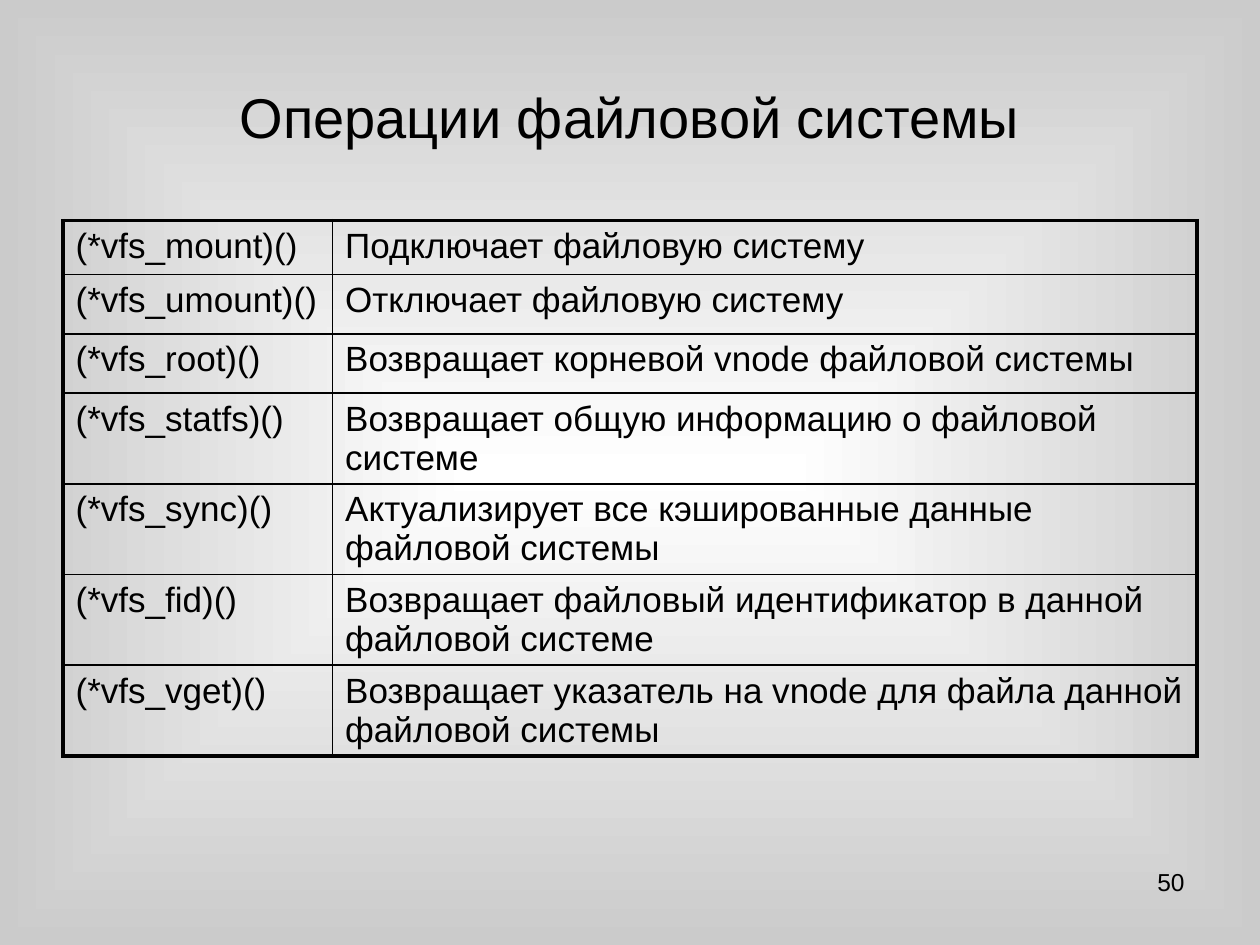
from lxml.etree import SubElement
from pptx import Presentation
from pptx.dml.color import RGBColor
from pptx.enum.text import MSO_ANCHOR, PP_ALIGN
from pptx.oxml.ns import qn
from pptx.util import Inches, Pt

OPERATIONS = [
    ("(*vfs_mount)()", "Подключает файловую систему", 0.43),
    ("(*vfs_umount)()", "Отключает файловую систему", 0.47),
    ("(*vfs_root)()", "Возвращает корневой vnode файловой системы", 0.47),
    ("(*vfs_statfs)()", "Возвращает общую информацию о файловой системе", 0.71),
    ("(*vfs_sync)()", "Актуализирует все кэшированные данные файловой системы", 0.71),
    ("(*vfs_fid)()", "Возвращает файловый идентификатор в данной файловой системе", 0.7),
    ("(*vfs_vget)()", "Возвращает указатель на vnode для файла данной файловой системы", 0.71),
]
COLUMN_WIDTHS = [2.14, 6.86]
OUTER_LINE, INNER_LINE = Pt(2.25), Pt(1)


def write(text_frame, text, size, alignment, color="000000"):
    text_frame.text = text
    paragraph = text_frame.paragraphs[0]
    paragraph.alignment = alignment
    font_format = {"name": "Arial", "size": Pt(size), "bold": False}
    for name, value in font_format.items():
        setattr(paragraph.font, name, value)
    paragraph.font.color.rgb = RGBColor.from_string(color)


def add_border(cell, side, width, color="000000"):
    line = SubElement(cell._tc.get_or_add_tcPr(), qn(f"a:ln{side}"), w=str(width))
    fill = SubElement(line, qn("a:solidFill"))
    SubElement(fill, qn("a:srgbClr"), val=color)


presentation = Presentation()
presentation.slide_width, presentation.slide_height = Inches(10), Inches(7.5)
slide = presentation.slides.add_slide(presentation.slide_layouts[5])

# Background: gradient from the centre to the edges
background = slide.background.fill
background.gradient()
for stop, position, color in zip(background.gradient_stops, (0, 1), ("FFFFFF", "CBCBCB")):
    stop.position = position
    stop.color.rgb = RGBColor.from_string(color)
gradient = slide.element.find(".//" + qn("a:gradFill"))
gradient.remove(gradient.find(qn("a:lin")))
shade = SubElement(gradient, qn("a:path"), path="shape")
SubElement(shade, qn("a:fillToRect"), l="50000", t="50000", r="50000", b="50000")

# Title
title = slide.shapes.title
title_place = {"left": 0.5, "top": 0.3, "width": 9, "height": 1.25}
for name, value in title_place.items():
    setattr(title, name, Inches(value))
title.text_frame.vertical_anchor = MSO_ANCHOR.MIDDLE
write(title.text_frame, "Операции файловой системы", 32, PP_ALIGN.CENTER)

# Table of operations
table = slide.shapes.add_table(
    len(OPERATIONS), len(COLUMN_WIDTHS), Inches(0.5), Inches(1.75), Inches(9), Inches(4.2)
).table
table.first_row = table.horz_banding = False
for column, width in zip(table.columns, COLUMN_WIDTHS):
    column.width = Inches(width)

last_row, last_column = len(OPERATIONS) - 1, len(COLUMN_WIDTHS) - 1
for row, (*texts, height) in enumerate(OPERATIONS):
    table.rows[row].height = Inches(height)
    for column, text in enumerate(texts):
        cell = table.cell(row, column)
        write(cell.text_frame, text, 20, PP_ALIGN.LEFT)
        outer_sides = {
            "L": column == 0,
            "R": column == last_column,
            "T": row == 0,
            "B": row == last_row,
        }
        for side, is_outer in outer_sides.items():
            add_border(cell, side, OUTER_LINE if is_outer else INNER_LINE)
        cell.fill.background()

# Slide number
number = slide.shapes.add_textbox(Inches(7.17), Inches(6.83), Inches(2.33), Inches(0.52))
number.text_frame.word_wrap = True
write(number.text_frame, "50", 14, PP_ALIGN.RIGHT)

presentation.save("out.pptx")
